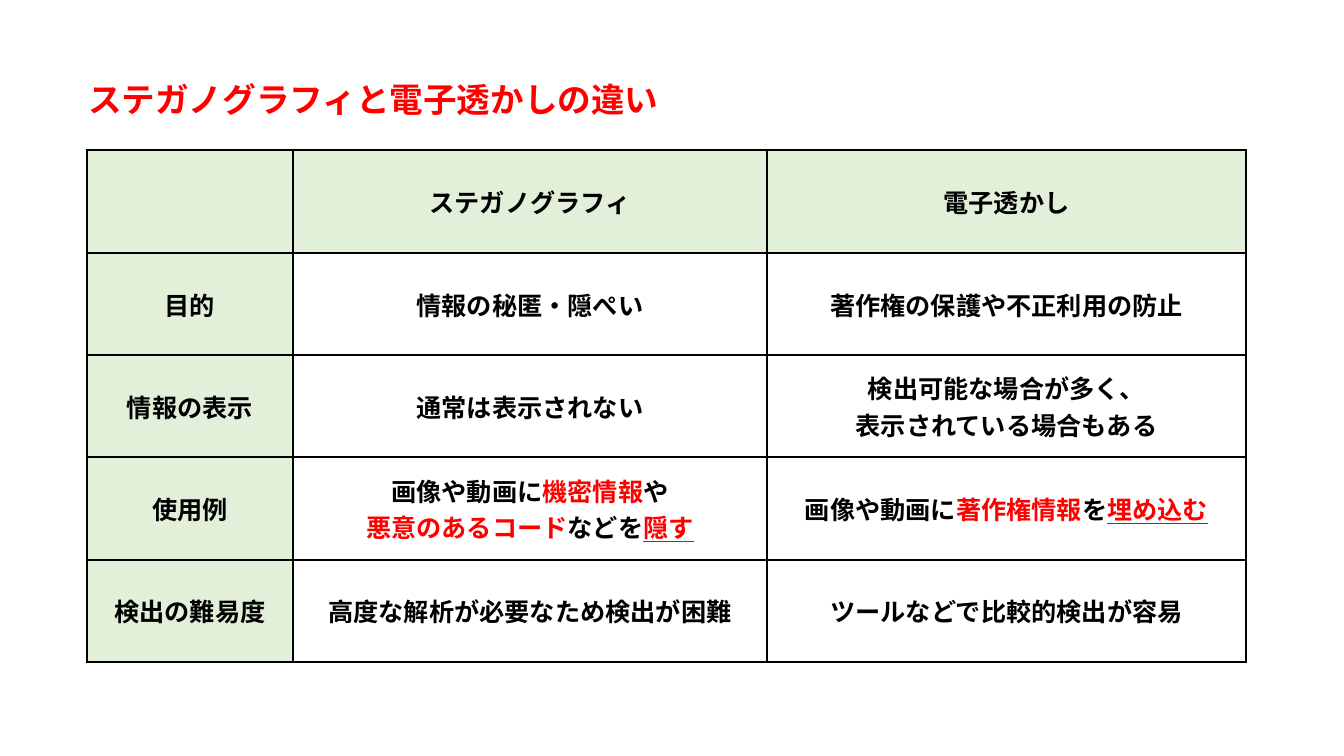
from lxml import etree
from pptx import Presentation
from pptx.dml.color import RGBColor
from pptx.enum.text import MSO_ANCHOR, MSO_AUTO_SIZE, PP_ALIGN
from pptx.oxml.ns import qn
from pptx.util import Pt

PX = 914400 / 100.8
FONT = "Noto Sans CJK JP"
MIDDLE = MSO_ANCHOR.MIDDLE
NO_AUTOFIT = MSO_AUTO_SIZE.NONE
LEFT, CENTER = PP_ALIGN.LEFT, PP_ALIGN.CENTER
COLORS = {"text": "000000", "accent": "FF0000", "header": "E2F0D9", "border": "000000"}
STYLES = {
    "plain": {"color": "text", "underline": False},
    "red": {"color": "accent", "underline": False},
    "red_line": {"color": "accent", "underline": True},
}


def px(length):
    return round(length * PX)


def write_lines(frame, lines, size, alignment):
    for index, line in enumerate(lines):
        paragraph = frame.paragraphs[0] if index == 0 else frame.add_paragraph()
        paragraph.alignment = alignment
        for wording, style in line:
            run = paragraph.add_run()
            run.text = wording
            font_format = {
                "name": FONT,
                "size": Pt(size),
                "bold": True,
                "underline": STYLES[style]["underline"],
            }
            for attribute, value in font_format.items():
                setattr(run.font, attribute, value)
            run.font.color.rgb = RGBColor.from_string(COLORS[STYLES[style]["color"]])
            etree.SubElement(run.font._element, qn("a:ea"), typeface=FONT)


COLUMN_WIDTHS = [206, 474, 479]
ROW_HEIGHTS = [103, 102, 102, 103, 102]
COMPARISON = [
    ["", "ステガノグラフィ", "電子透かし"],
    ["目的", "情報の秘匿・隠ぺい", "著作権の保護や不正利用の防止"],
    [
        "情報の表示",
        "通常は表示されない",
        [[("検出可能な場合が多く、", "plain")], [("表示されている場合もある", "plain")]],
    ],
    [
        "使用例",
        [
            [("画像や動画に", "plain"), ("機密情報", "red"), ("や", "plain")],
            [("悪意のあるコード", "red"), ("などを", "plain"), ("隠す", "red_line")],
        ],
        [
            [
                ("画像や動画に", "plain"),
                ("著作権情報", "red"),
                ("を", "plain"),
                ("埋め込む", "red_line"),
            ]
        ],
    ],
    ["検出の難易度", "高度な解析が必要なため検出が困難", "ツールなどで比較的検出が容易"],
]

prs = Presentation()
prs.slide_width, prs.slide_height = px(1344), px(756)
slide = prs.slides.add_slide(prs.slide_layouts[5])

heading = slide.shapes.title
heading_place = {"left": px(78), "top": px(74), "width": px(1207), "height": px(50)}
for attribute, value in heading_place.items():
    setattr(heading, attribute, value)
heading_format = {"word_wrap": True, "auto_size": NO_AUTOFIT, "vertical_anchor": MIDDLE}
for attribute, value in heading_format.items():
    setattr(heading.text_frame, attribute, value)
write_lines(heading.text_frame, [[("ステガノグラフィと電子透かしの違い", "red")]], 24, LEFT)

comparison = slide.shapes.add_table(
    len(ROW_HEIGHTS),
    len(COLUMN_WIDTHS),
    px(87),
    px(150),
    px(sum(COLUMN_WIDTHS)),
    px(sum(ROW_HEIGHTS)),
).table
comparison.first_row = False
comparison.horz_banding = False
for column, width in zip(comparison.columns, COLUMN_WIDTHS):
    column.width = px(width)
for row, height in zip(comparison.rows, ROW_HEIGHTS):
    row.height = px(height)

for row_index, entries in enumerate(COMPARISON):
    for column_index, entry in enumerate(entries):
        cell = comparison.cell(row_index, column_index)
        cell.vertical_anchor = MIDDLE
        if entry:
            lines = [[(entry, "plain")]] if isinstance(entry, str) else entry
            write_lines(cell.text_frame, lines, 18, CENTER)
        properties = cell._tc.get_or_add_tcPr()
        for side in ("a:lnL", "a:lnR", "a:lnT", "a:lnB"):
            border = etree.SubElement(properties, qn(side), w=str(Pt(1)))
            paint = etree.SubElement(border, qn("a:solidFill"))
            etree.SubElement(paint, qn("a:srgbClr"), val=COLORS["border"])
        if row_index == 0 or column_index == 0:
            cell.fill.solid()
            cell.fill.fore_color.rgb = RGBColor.from_string(COLORS["header"])
        else:
            cell.fill.background()

prs.save("out.pptx")
